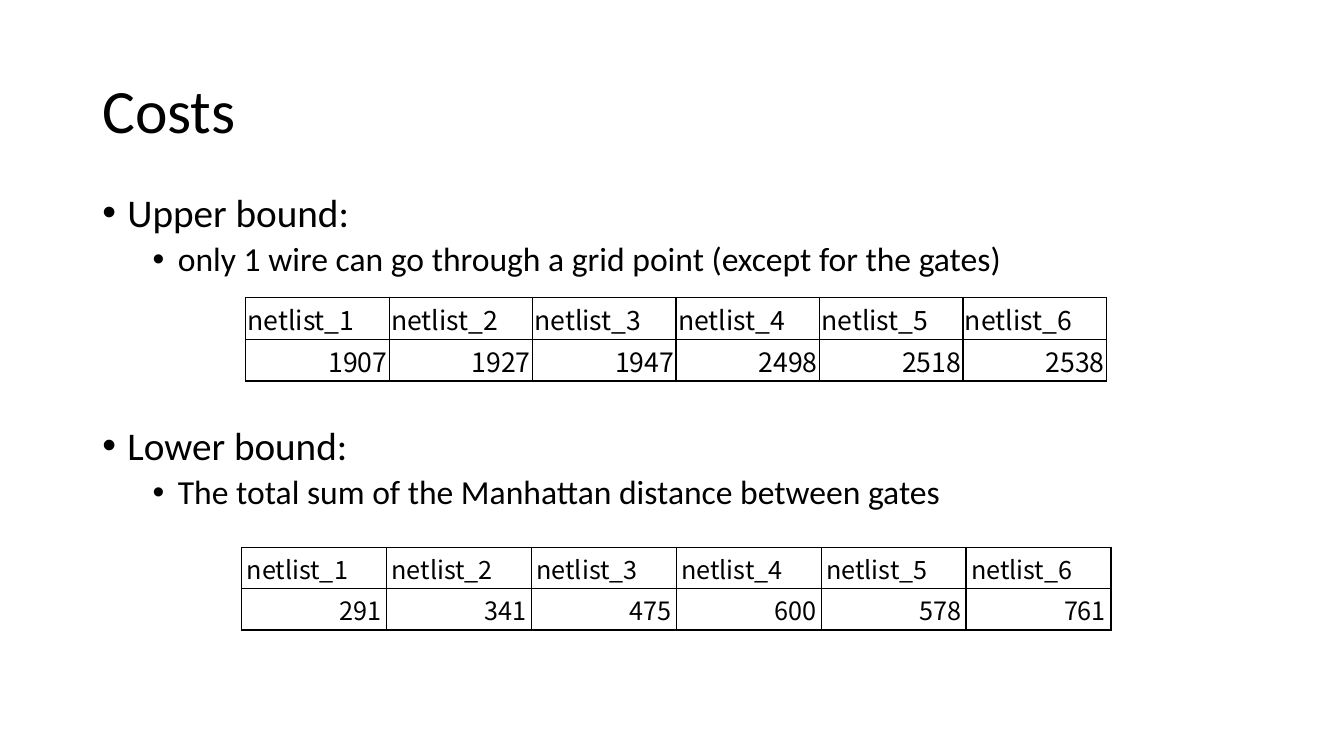
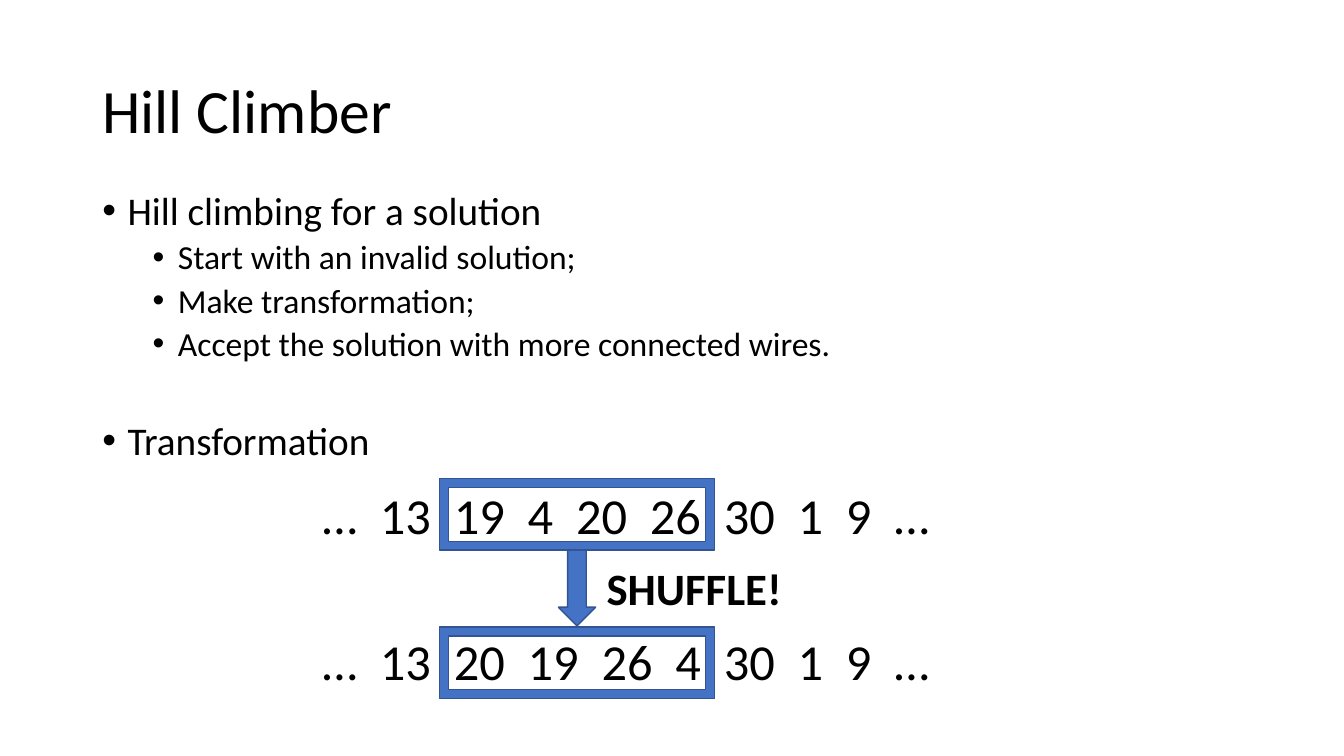
from lxml.etree import SubElement
from pptx import Presentation
from pptx.dml.color import RGBColor
from pptx.enum.shapes import MSO_SHAPE
from pptx.enum.text import MSO_ANCHOR, PP_ALIGN
from pptx.oxml import parse_xml
from pptx.oxml.ns import nsdecls, qn
from pptx.util import Pt

SLIDE_W, SLIDE_H = 960, 540
BLACK, BLUE, NAVY = "000000", "4472C4", "325491"
TEXT_FONT, TABLE_FONT = "Calibri", "Noto Sans CJK SC"
LEFT = 66
TITLE_BOX = (LEFT, 28.8, 828, 104.4)
LEVELS = [
    {"size": 28, "margin": 18, "before": 10},
    {"size": 24, "margin": 54, "before": 5},
]
HANGING = 18
NUMBER_SIZE = 36
DIGIT_W, ELLIPSIS_W, GAP_W = 18.25, 24.85, 16.27
NETLISTS = [f"netlist_{n}" for n in range(1, 7)]


def color(hex_code):
    return RGBColor.from_string(hex_code)


def apply(target, values):
    for name, value in values.items():
        setattr(target, name, value)


def write(paragraph, text, size, font=TEXT_FONT, bold=False):
    run = paragraph.add_run()
    run.text = text
    apply(run.font, {"size": Pt(size), "name": font, "bold": bold})
    run.font.color.rgb = color(BLACK)


def add_frame(slide, box, anchor=MSO_ANCHOR.TOP):
    frame = slide.shapes.add_textbox(*map(Pt, box)).text_frame
    apply(frame, {"word_wrap": True, "vertical_anchor": anchor})
    return frame


def add_titled_slide(prs, title):
    slide = prs.slides.add_slide(prs.slide_layouts[6])
    heading = add_frame(slide, TITLE_BOX, MSO_ANCHOR.MIDDLE).paragraphs[0]
    heading.line_spacing = 0.9
    write(heading, title, 44)
    return slide


def add_bullets(slide, box, items):
    frame = add_frame(slide, box)
    for index, (level, text, extra) in enumerate(items):
        style = LEVELS[level]
        bullet = frame.add_paragraph() if index else frame.paragraphs[0]
        properties = bullet._p.get_or_add_pPr()
        properties.set("marL", str(Pt(style["margin"])))
        properties.set("indent", str(Pt(-HANGING)))
        SubElement(properties, qn("a:buFont"), typeface="Arial")
        SubElement(properties, qn("a:buChar"), char="•")
        apply(bullet, {"level": level, "line_spacing": 0.9,
                       "space_before": Pt(style["before"] + extra)})
        write(bullet, text, style["size"])


def add_border(cell):
    properties = cell._tc.get_or_add_tcPr()
    for index, side in enumerate(("lnL", "lnR", "lnT", "lnB")):
        properties.insert(index, parse_xml(
            f'<a:{side} {nsdecls("a")} w="{Pt(1)}"><a:solidFill>'
            f'<a:srgbClr val="{BLACK}"/></a:solidFill></a:{side}>'))


def add_costs_table(slide, box, costs, size, margins):
    rows = [NETLISTS, costs]
    table = slide.shapes.add_table(
        len(rows), len(NETLISTS), *map(Pt, box)).table
    apply(table, {"first_row": False, "horz_banding": False})
    for column in table.columns:
        column.width = Pt(box[2] / len(NETLISTS))
    sides = ("margin_left", "margin_top", "margin_right", "margin_bottom")
    layout = dict(zip(sides, map(Pt, margins)))
    layout["vertical_anchor"] = MSO_ANCHOR.MIDDLE
    alignments = (PP_ALIGN.LEFT, PP_ALIGN.RIGHT)
    for r, (values, alignment) in enumerate(zip(rows, alignments)):
        table.rows[r].height = Pt(box[3] / len(rows))
        for c, value in enumerate(values):
            cell = table.cell(r, c)
            apply(cell, layout)
            cell.fill.background()
            add_border(cell)
            entry = cell.text_frame.paragraphs[0]
            entry.alignment = alignment
            write(entry, str(value), size, TABLE_FONT)


def add_blue_shape(slide, kind, box):
    shape = slide.shapes.add_shape(kind, *map(Pt, box))
    shape.shadow.inherit = False
    shape.fill.solid()
    shape.fill.fore_color.rgb = color(BLUE)
    shape.line.color.rgb = color(NAVY)
    shape.line.width = Pt(1)


def add_sequence(slide, box, numbers):
    words = ["…", *map(str, numbers), "…"]
    line = add_frame(slide, box).paragraphs[0]
    stops = SubElement(line._p.get_or_add_pPr(), qn("a:tabLst"))
    position = 0
    for word in words[:-1]:
        width = ELLIPSIS_W if word == "…" else DIGIT_W * len(word)
        position += width + GAP_W
        SubElement(stops, qn("a:tab"), pos=str(Pt(position)), algn="l")
    write(line, "\t".join(words), NUMBER_SIZE)


def add_shuffle(slide, box):
    left, top, width, height = box
    row_h, frame_x, frame_w, arrow_w = 51, 90.7, 196.6, 26.6
    second_top = top + height - row_h
    add_sequence(slide, (left, top, width, row_h),
                 (13, 19, 4, 20, 26, 30, 1, 9))
    add_sequence(slide, (left, second_top - 1.5, width, row_h),
                 (13, 20, 19, 26, 4, 30, 1, 9))
    for frame_top in (top, second_top):
        add_blue_shape(slide, MSO_SHAPE.FRAME,
                       (left + frame_x, frame_top, frame_w, row_h))
    arrow_x = left + frame_x + (frame_w - arrow_w) / 2
    add_blue_shape(slide, MSO_SHAPE.DOWN_ARROW,
                   (arrow_x, top + row_h, arrow_w, 54))
    label = add_frame(slide, (left + 203, top + 54.7, 199.4, 46))
    write(label.paragraphs[0], "SHUFFLE!", 32, bold=True)


def build_costs(prs):
    slide = add_titled_slide(prs, "Costs")
    add_bullets(slide, (LEFT, 134.6, 842, 104), [
        (0, "Upper bound:", 0),
        (1, "only 1 wire can go through a grid point "
            "(except for the gates)", 0),
    ])
    add_costs_table(slide, (175.5, 212.4, 615, 59.8),
                    (1907, 1927, 1947, 2498, 2518, 2538),
                    19, (1.4, 1.4, 1.4, 0))
    add_bullets(slide, (LEFT, 301, 786, 101), [
        (0, "Lower bound:", 0),
        (1, "The total sum of the Manhattan distance between gates", 0),
    ])
    add_costs_table(slide, (172.6, 391, 621, 59),
                    (291, 341, 475, 600, 578, 761),
                    18, (3.6, 0, 3.6, 0))


def build_hill_climber(prs):
    slide = add_titled_slide(prs, "Hill Climber")
    add_bullets(slide, (LEFT, 133.2, 855, 205), [
        (0, "Hill climbing for a solution", 0),
        (1, "Start with an invalid solution;", 0),
        (1, "Make transformation;", 0),
        (1, "Accept the solution with more connected wires.", 0),
        (0, "Transformation", 31.4),
    ])
    add_shuffle(slide, (223.2, 342, 466, 157))


def main():
    prs = Presentation()
    apply(prs, {"slide_width": Pt(SLIDE_W), "slide_height": Pt(SLIDE_H)})
    build_costs(prs)
    build_hill_climber(prs)
    prs.save("out.pptx")


if __name__ == "__main__":
    main()
